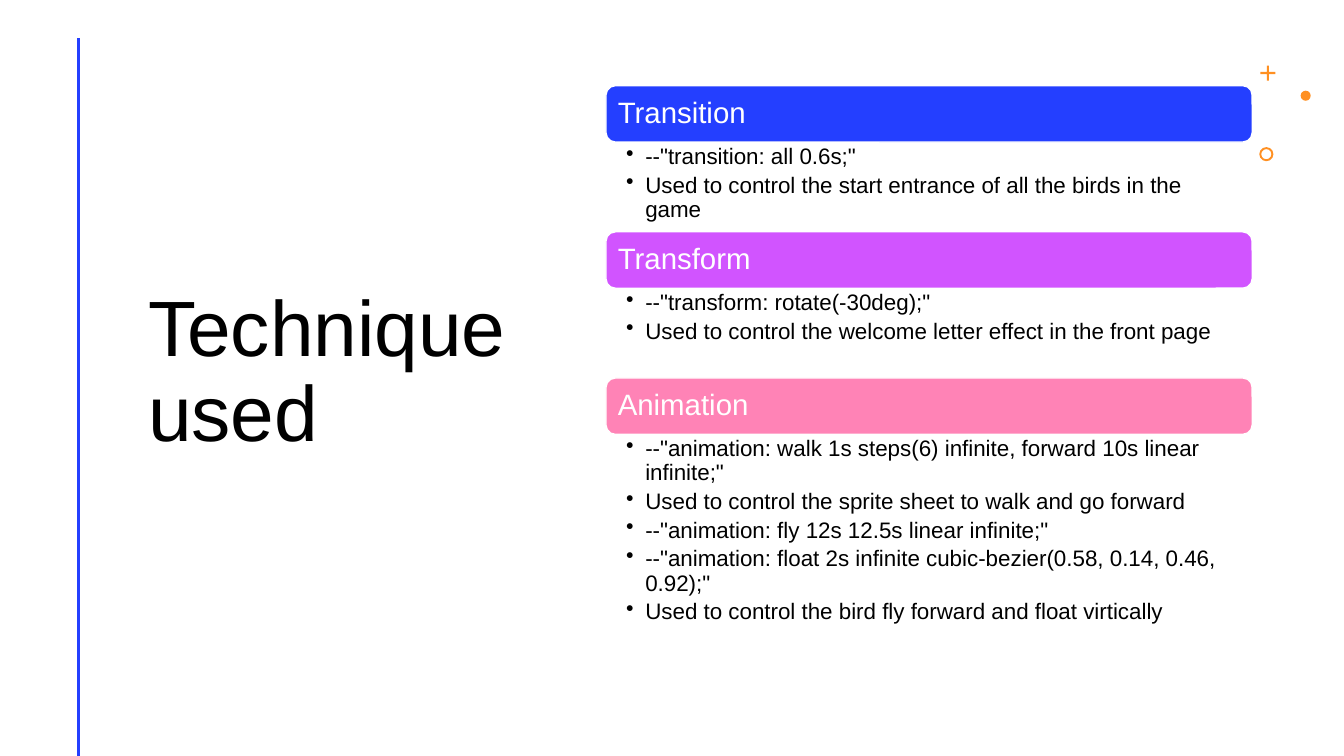
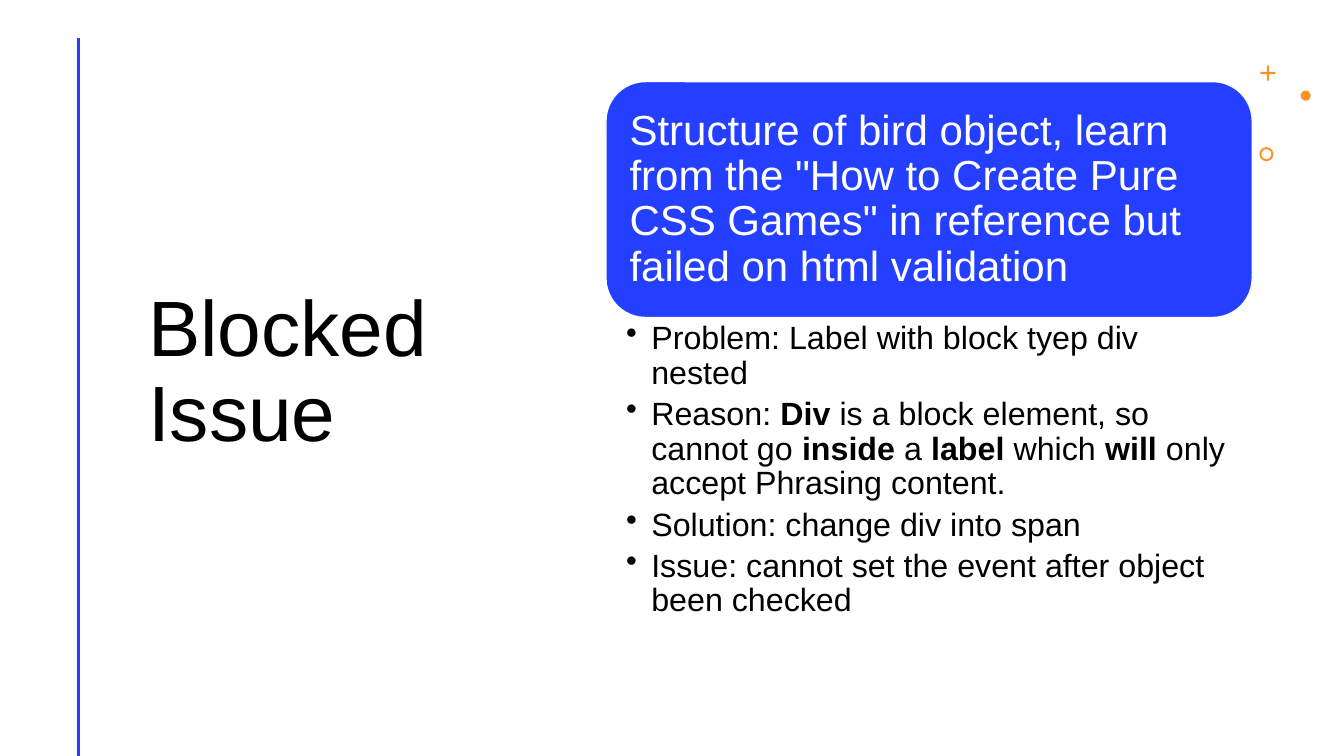
from lxml import etree
from pptx import Presentation
from pptx.dml.color import RGBColor
from pptx.enum.shapes import MSO_CONNECTOR, MSO_SHAPE
from pptx.enum.text import MSO_ANCHOR, PP_ALIGN
from pptx.oxml.ns import qn
from pptx.util import Inches, Pt

FONT = "Arial"
BLACK, WHITE = "000000", "FFFFFF"
BLUE, PURPLE, PINK, ORANGE = "243FFF", "D154FF", "FF83B6", "FF9022"

TITLE_BOX = (1.37, 0.65, 4.31, 6.11)
CARD_LEFT, CARD_WIDTH = 6.01, 6.41

# Each section: heading, colour, height of its bullet area, bullets.
TECHNIQUES = [
    ("Transition", BLUE, 0.89, [
        '--"transition: all 0.6s;"',
        "Used to control the start entrance of all the birds in the game",
    ]),
    ("Transform", PURPLE, 0.89, [
        '--"transform: rotate(-30deg);"',
        "Used to control the welcome letter effect in the front page",
    ]),
    ("Animation", PINK, 2.33, [
        '--"animation: walk 1s steps(6) infinite, forward 10s linear infinite;"',
        "Used to control the sprite sheet to walk and go forward",
        '--"animation: fly 12s 12.5s linear infinite;"',
        '--"animation: float 2s infinite cubic-bezier(0.58, 0.14, 0.46, 0.92);"',
        "Used to control the bird fly forward and float virtically",
    ]),
]
# Words between double asterisks are bold.
ISSUES = [
    ('Structure of bird object, learn from the "How to Create Pure CSS Games" '
     "in reference but failed on html validation", BLUE, 3.53, [
         "Problem: Label with block tyep div nested",
         "Reason: **Div** is a block element, so cannot go **inside** a **label** "
         "which **will** only accept Phrasing content.",
         "Solution: change div into span",
         "Issue: cannot set the event after object been checked",
     ]),
]
TECHNIQUE_STYLE = dict(heading_height=0.56, heading_size=21, heading_inset=0.09,
                       bullet_size=16, bullet_indent=0.19,
                       bullet_insets=(0.2, 0.03, 0.16, 0.03))
ISSUE_STYLE = dict(heading_height=2.34, heading_size=30, heading_inset=0.12,
                   bullet_size=23, bullet_indent=0.25,
                   bullet_insets=(0.2, 0.04, 0.23, 0.04))


def rgb(color):
    return RGBColor.from_string(color)


def inches(values):
    return [Inches(value) for value in values]


def add_filled(slide, preset, box, color, adjustment=None):
    shape = slide.shapes.add_shape(preset, *inches(box))
    shape.shadow.inherit = False
    shape.fill.solid()
    shape.fill.fore_color.rgb = rgb(color)
    shape.line.fill.background()
    if adjustment is not None:
        shape.adjustments[0] = adjustment
    return shape


def set_frame(frame, insets, anchor):
    frame.word_wrap = True
    frame.vertical_anchor = anchor
    (frame.margin_left, frame.margin_top,
     frame.margin_right, frame.margin_bottom) = inches(insets)


def style_paragraph(paragraph, size, color, space_after=0):
    paragraph.alignment = PP_ALIGN.LEFT
    paragraph.line_spacing = 0.9
    paragraph.space_after = Pt(space_after)
    font = paragraph.font
    font.name, font.size, font.color.rgb = FONT, Pt(size), rgb(color)


def set_bullet(paragraph, indent):
    properties = paragraph._p.get_or_add_pPr()
    properties.set("marL", str(Inches(indent)))
    properties.set("indent", str(-Inches(indent)))
    bullet = etree.Element(qn("a:buChar"), char="•")
    # The schema wants the bullet before the default run properties.
    properties.find(qn("a:defRPr")).addprevious(bullet)


def add_marked_text(paragraph, text):
    """Write text as runs, bold between double asterisks."""
    for index, part in enumerate(text.split("**")):
        run = paragraph.add_run()
        run.text = part
        if index % 2:
            run.font.bold = True


def add_title(slide, title):
    frame = slide.shapes.add_textbox(*inches(TITLE_BOX)).text_frame
    set_frame(frame, (0.1, 0.05, 0.1, 0.05), MSO_ANCHOR.MIDDLE)
    paragraph = frame.paragraphs[0]
    paragraph.text = title
    style_paragraph(paragraph, 56, BLACK)


def add_decoration(slide):
    rule = slide.shapes.add_connector(
        MSO_CONNECTOR.STRAIGHT, *inches((0.78, 0.38, 0.78, 7.5)))
    rule.line.color.rgb = rgb(BLUE)
    rule.line.width = Pt(2)
    etree.SubElement(rule._element.spPr, qn("a:effectLst"))
    add_filled(slide, MSO_SHAPE.CROSS, (12.5, 0.65, 0.15, 0.15), ORANGE, 0.43)
    add_filled(slide, MSO_SHAPE.OVAL, (12.9, 0.9, 0.1, 0.1), ORANGE)
    add_filled(slide, MSO_SHAPE.DONUT, (12.49, 1.46, 0.14, 0.14), ORANGE, 0.14)


def add_heading(slide, box, text, color, size, inset):
    card = add_filled(slide, MSO_SHAPE.ROUNDED_RECTANGLE, box, color)
    card.line.color.rgb = rgb(WHITE)
    card.line.width = Pt(1)
    set_frame(card.text_frame, [inset] * 4, MSO_ANCHOR.MIDDLE)
    paragraph = card.text_frame.paragraphs[0]
    paragraph.text = text
    style_paragraph(paragraph, size, WHITE)


def add_bullets(slide, box, bullets, size, indent, insets):
    frame = slide.shapes.add_textbox(*inches(box)).text_frame
    set_frame(frame, insets, MSO_ANCHOR.TOP)
    for index, text in enumerate(bullets):
        paragraph = frame.add_paragraph() if index else frame.paragraphs[0]
        add_marked_text(paragraph, text)
        style_paragraph(paragraph, size, BLACK, space_after=0.2 * size)
        set_bullet(paragraph, indent)


def add_sections(slide, top, sections, heading_height, heading_size,
                 heading_inset, bullet_size, bullet_indent, bullet_insets):
    """Stack headings and their bullets downwards from top."""
    for heading, color, bullets_height, bullets in sections:
        add_heading(slide, (CARD_LEFT, top, CARD_WIDTH, heading_height),
                    heading, color, heading_size, heading_inset)
        top += heading_height
        add_bullets(slide, (CARD_LEFT, top, CARD_WIDTH, bullets_height),
                    bullets, bullet_size, bullet_indent, bullet_insets)
        top += bullets_height


def add_topic_slide(deck, title, top, sections, style):
    slide = deck.slides.add_slide(deck.slide_layouts[6])
    add_title(slide, title)
    add_decoration(slide)
    add_sections(slide, top, sections, **style)


def main():
    deck = Presentation()
    deck.slide_width, deck.slide_height = Inches(13.33), Inches(7.5)
    add_topic_slide(deck, "Technique used", 0.85, TECHNIQUES, TECHNIQUE_STYLE)
    add_topic_slide(deck, "Blocked Issue", 0.81, ISSUES, ISSUE_STYLE)
    deck.save("out.pptx")


if __name__ == "__main__":
    main()
